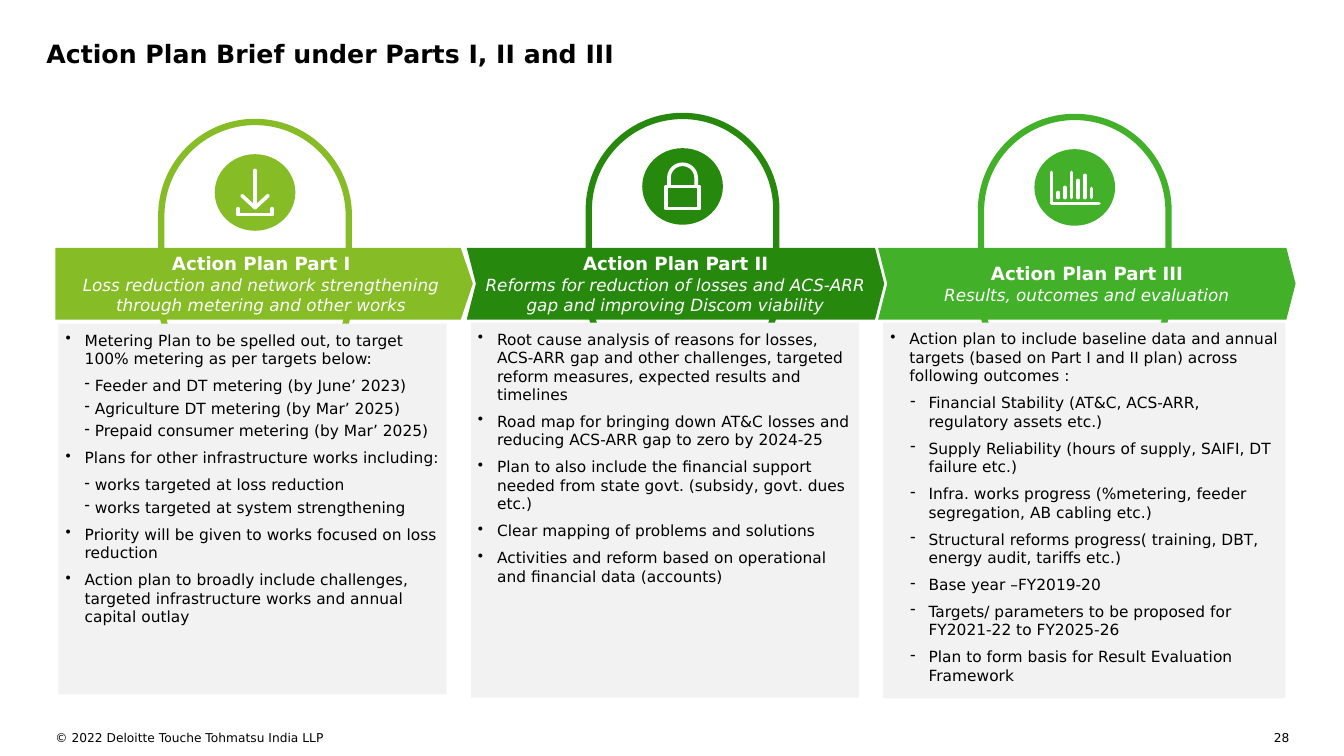
from dataclasses import dataclass
from math import cos, pi, sin

from lxml.etree import SubElement
from pptx import Presentation
from pptx.dml.color import RGBColor
from pptx.enum.shapes import MSO_CONNECTOR, MSO_SHAPE
from pptx.enum.text import MSO_ANCHOR, MSO_AUTO_SIZE, PP_ALIGN
from pptx.oxml.ns import qn
from pptx.util import Inches, Pt


@dataclass(frozen=True)
class Theme:
    font: str = "DejaVu Sans"
    black: RGBColor = RGBColor(0, 0, 0)
    white: RGBColor = RGBColor(255, 255, 255)
    panel: RGBColor = RGBColor.from_string("F2F2F2")
    lime: RGBColor = RGBColor.from_string("86BC25")
    forest: RGBColor = RGBColor.from_string("26890D")
    green: RGBColor = RGBColor.from_string("43B02A")
    title_size: float = 18
    heading_size: float = 13
    subtitle_size: float = 12
    body_size: float = 11
    footer_size: float = 8.7


THEME = Theme()

# Bullet levels: character, left margin, hanging indent in inches
LEVELS = {
    "main": ("•", 0.19, 0.19),
    "near": ("-", 0.29, 0.1),
    "wide": ("-", 0.38, 0.18),
}


def write(frame, inset, lines, color=THEME.black, align=PP_ALIGN.LEFT, anchor=MSO_ANCHOR.TOP):
    """Fill a frame with lines of (text, size, font values, space after, level)."""
    margins = {f"margin_{side}": Inches(inset) for side in ("left", "top", "right", "bottom")}
    frame_format = {"word_wrap": True, "auto_size": MSO_AUTO_SIZE.NONE, "vertical_anchor": anchor}
    for name, value in {**margins, **frame_format}.items():
        setattr(frame, name, value)
    for index, (text, size, emphasis, after, level) in enumerate(lines):
        paragraph = frame.add_paragraph() if index else frame.paragraphs[0]
        if level:
            mark, margin, hang = LEVELS[level]
            properties = paragraph._p.get_or_add_pPr()
            properties.set("marL", str(Inches(margin)))
            properties.set("indent", str(-Inches(hang)))
            SubElement(properties, qn("a:buChar")).set("char", mark)
        for name, value in {"alignment": align, "space_before": Pt(0), "space_after": Pt(after)}.items():
            setattr(paragraph, name, value)
        run = paragraph.add_run()
        run.text = text
        for name, value in {"name": THEME.font, "size": Pt(size), **emphasis}.items():
            setattr(run.font, name, value)
        run.font.color.rgb = color


def stroke(shapes, points):
    """Draw a white round-ended line through points given in inches."""
    corners = [(Inches(x), Inches(y)) for x, y in points]
    if len(corners) == 2:
        mark = shapes.add_connector(MSO_CONNECTOR.STRAIGHT, *corners[0], *corners[1])
        SubElement(mark._element.spPr, qn("a:effectLst"))
    else:
        builder = shapes.build_freeform(*corners[0], scale=1.0)
        builder.add_line_segments(corners[1:], close=False)
        mark = builder.convert_to_shape()
        mark.fill.background()
        mark.shadow.inherit = False
    mark.line.color.rgb = THEME.white
    mark.line.width = Pt(2.6)
    mark.line._get_or_add_ln().set("cap", "rnd")


# Icons as strokes around the badge centre
download_icon = [
    [(0, -0.22), (0, 0.15)],
    [(-0.13, 0.03), (0, 0.15), (0.13, 0.03)],
    [(-0.17, 0.16), (-0.17, 0.22), (0.17, 0.22), (0.17, 0.16)],
]
shackle = [(-0.135 * cos(pi * step / 16), -0.085 - 0.135 * sin(pi * step / 16)) for step in range(17)]
lock_icon = [
    [(-0.135, 0), *shackle, (0.135, 0)],
    [(-0.165, 0), (0.165, 0), (0.165, 0.22), (-0.165, 0.22), (-0.165, 0)],
]
bar_tops = [0.05, 0.0, -0.15, -0.07, -0.12, 0.01]
chart_icon = [[(-0.23, -0.15), (-0.23, 0.16), (0.24, 0.16)]]
chart_icon += [[(-0.165 + 0.066 * bar, top), (-0.165 + 0.066 * bar, 0.1)] for bar, top in enumerate(bar_tops)]

# Columns: colour, badge centre, banner shape and point, panel box, icon, heading, subtitle, points
columns = [
    (THEME.lime, (2.53, 1.91), (MSO_SHAPE.PENTAGON, 0.169), (0.58, 3.21, 3.85, 3.68), download_icon,
     "Action Plan Part I", "Loss reduction and network strengthening through metering and other works", [
         ("Metering Plan to be spelled out, to target 100% metering as per targets below:", 6, "main"),
         ("Feeder and DT metering (by June’ 2023)", 3, "near"),
         ("Agriculture DT metering (by Mar’ 2025)", 3, "near"),
         ("Prepaid consumer metering (by Mar’ 2025)", 6, "near"),
         ("Plans for other infrastructure works including:", 6, "main"),
         ("works targeted at loss reduction", 3, "near"),
         ("works targeted at system strengthening", 6, "near"),
         ("Priority will be given to works focused on loss reduction", 6, "main"),
         ("Action plan to broadly include challenges, targeted infrastructure works and annual capital outlay",
          6, "main"),
     ]),
    (THEME.forest, (6.77, 1.85), (MSO_SHAPE.CHEVRON, 0.128), (4.67, 3.2, 3.85, 3.72), lock_icon,
     "Action Plan Part II", "Reforms for reduction of losses and ACS-ARR gap and improving Discom viability", [
         ("Root cause analysis of reasons for losses, ACS-ARR gap and other challenges, targeted reform "
          "measures, expected results and timelines", 6, "main"),
         ("Road map for bringing down AT&C losses and reducing ACS-ARR gap to zero by 2024-25", 6, "main"),
         ("Plan to also include the financial support needed from state govt. (subsidy, govt. dues etc.)",
          6, "main"),
         ("Clear mapping of problems and solutions", 6, "main"),
         ("Activities and reform based on operational and financial data (accounts)", 6, "main"),
     ]),
    (THEME.green, (10.66, 1.86), (MSO_SHAPE.CHEVRON, 0.128), (8.76, 3.2, 3.99, 3.73), chart_icon,
     "Action Plan Part III", "Results, outcomes and evaluation", [
         ("Action plan to include baseline data and annual targets (based on Part I and II plan) across "
          "following outcomes :", 6, "main"),
         ("Financial Stability (AT&C, ACS-ARR, regulatory assets etc.)", 6, "wide"),
         ("Supply Reliability (hours of supply, SAIFI, DT failure etc.)", 6, "wide"),
         ("Infra. works progress (%metering, feeder segregation, AB cabling etc.)", 6, "wide"),
         ("Structural reforms progress( training, DBT, energy audit, tariffs etc.)", 6, "wide"),
         ("Base year –FY2019-20", 6, "wide"),
         ("Targets/ parameters to be proposed for FY2021-22 to FY2025-26", 6, "wide"),
         ("Plan to form basis for Result Evaluation Framework", 6, "wide"),
     ]),
]

prs = Presentation()
prs.slide_width, prs.slide_height = Inches(13.33), Inches(7.5)
slide = prs.slides.add_slide(prs.slide_layouts[5])

# Title
title = slide.shapes.title
for name, value in {"left": 0.46, "top": 0.38, "width": 12.48, "height": 0.5}.items():
    setattr(title, name, Inches(value))
write(title.text_frame, 0,
      [("Action Plan Brief under Parts I, II and III", THEME.title_size, {"bold": True}, 0, None)])

# Columns: arch, panel, banner and badge, then text and icon
for number, (color, (x, y), (banner_kind, point), panel_box, icon, heading, subtitle, points) in enumerate(columns):
    parts = [
        (MSO_SHAPE.ROUNDED_RECTANGLE, (x - 0.93, y - 0.7, 1.86, 2.69), 0.5, None),
        (MSO_SHAPE.RECTANGLE, panel_box, None, THEME.panel),
        (banner_kind, (0.55 + 4.08 * number, 2.46, 4.14, 0.71), point, color),
        (MSO_SHAPE.OVAL, (x - 0.4, y - 0.38, 0.8, 0.76), None, color),
    ]
    drawn = []
    for kind, box, adjustment, fill in parts:
        part = slide.shapes.add_shape(kind, *[Inches(length) for length in box])
        part.shadow.inherit = False
        if adjustment is not None:
            part.adjustments[0] = adjustment
        if fill is None:
            part.fill.background()
            part.line.color.rgb = color
            part.line.width = Pt(4.5)
        else:
            part.fill.solid()
            part.fill.fore_color.rgb = fill
            part.line.fill.background()
        drawn.append(part)
    arch, panel, banner, badge = drawn
    write(panel.text_frame, 0.07, [(text, THEME.body_size, {}, after, level) for text, after, level in points])
    write(banner.text_frame, 0.04, [
        (heading, THEME.heading_size, {"bold": True}, 0, None),
        (subtitle, THEME.subtitle_size, {"italic": True}, 0, None),
    ], THEME.white, PP_ALIGN.CENTER, MSO_ANCHOR.MIDDLE)
    for line in icon:
        stroke(slide.shapes, [(x + dx, y + dy) for dx, dy in line])

# Footer
for text, left, width, align in [
    ("© 2022 Deloitte Touche Tohmatsu India LLP", 0.55, 5.86, PP_ALIGN.LEFT),
    ("28", 12.45, 0.34, PP_ALIGN.RIGHT),
]:
    note = slide.shapes.add_textbox(Inches(left), Inches(7.25), Inches(width), Inches(0.2))
    write(note.text_frame, 0, [(text, THEME.footer_size, {}, 0, None)], align=align)

prs.save("out.pptx")
